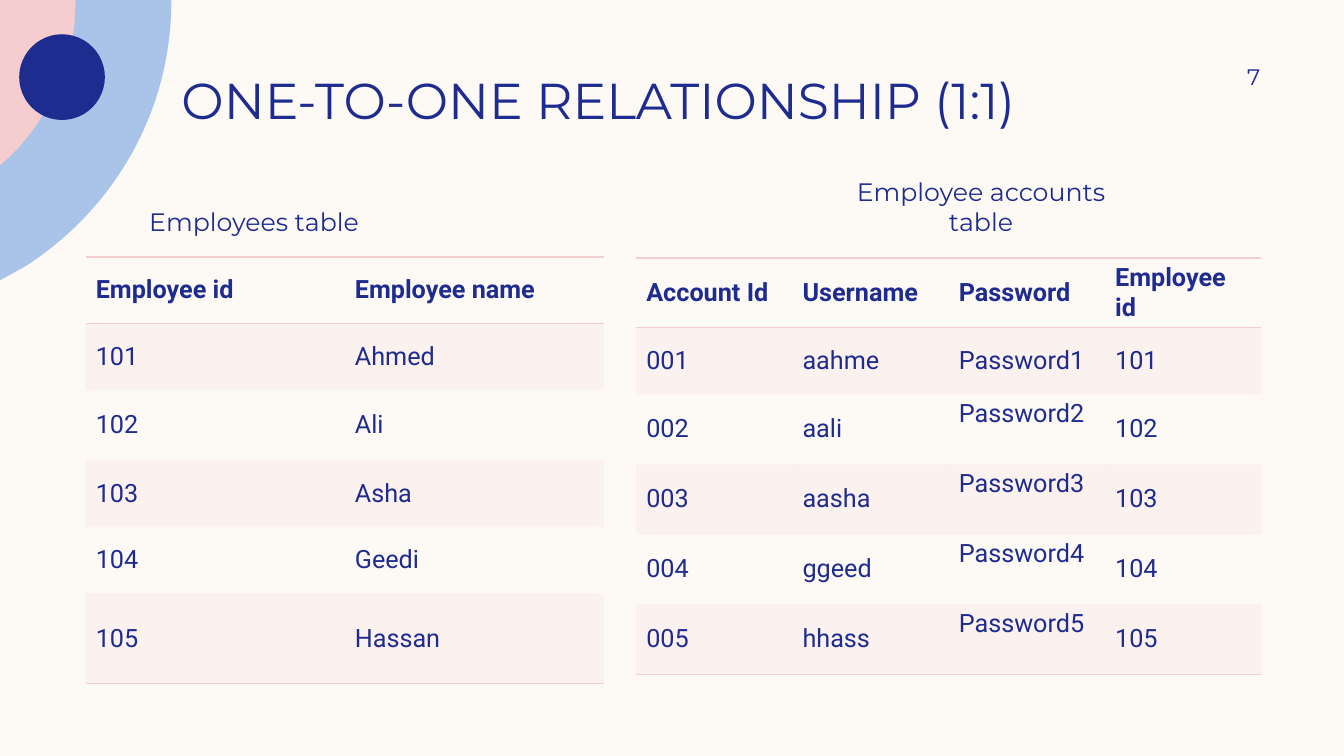
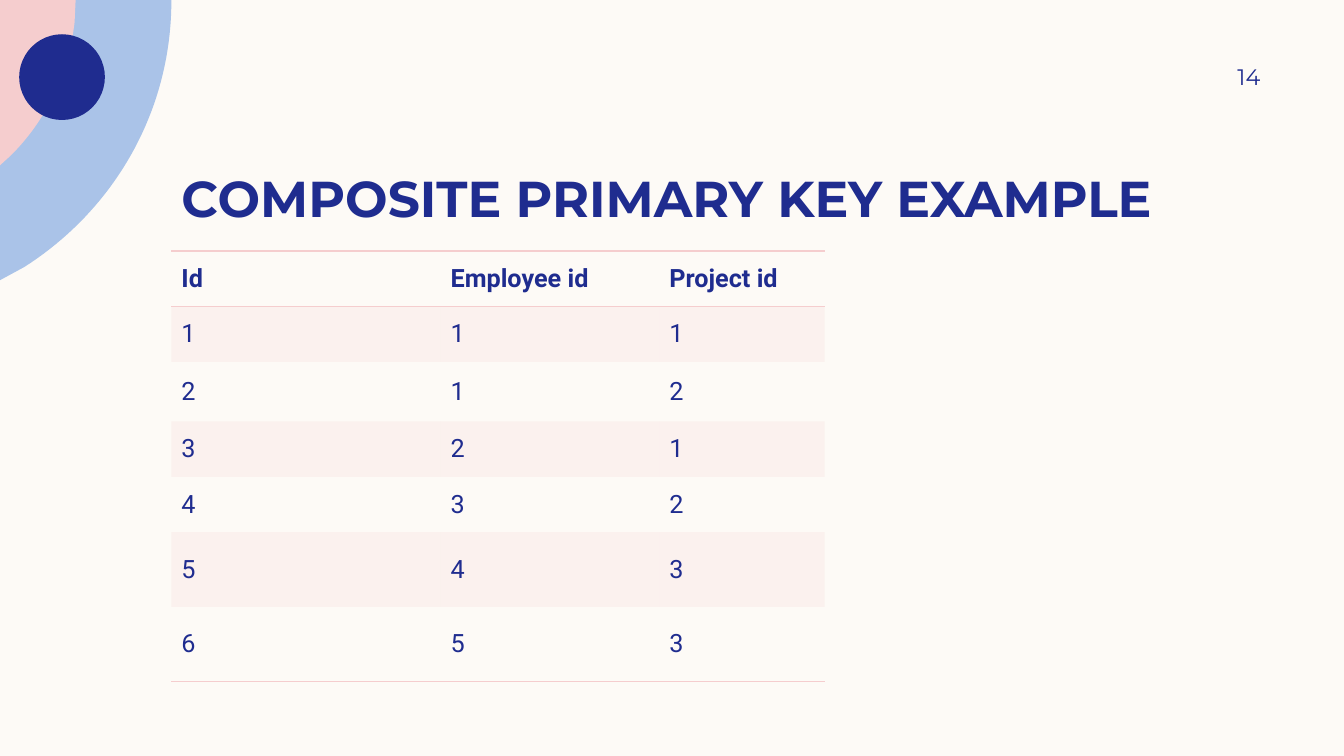
from dataclasses import dataclass

from lxml import etree
from pptx import Presentation
from pptx.dml.color import RGBColor
from pptx.enum.shapes import MSO_SHAPE
from pptx.enum.text import MSO_ANCHOR, MSO_AUTO_SIZE, PP_ALIGN
from pptx.oxml.ns import qn
from pptx.util import Inches, Pt

OVAL = MSO_SHAPE.OVAL
BOTTOM, MIDDLE = MSO_ANCHOR.BOTTOM, MSO_ANCHOR.MIDDLE
LEFT, CENTER, RIGHT = PP_ALIGN.LEFT, PP_ALIGN.CENTER, PP_ALIGN.RIGHT
NO_AUTOFIT = MSO_AUTO_SIZE.NONE
TITLE_ONLY = 5
PLAIN_TABLE_STYLE = "{2D5ABB26-0587-4C30-8999-92F81FD0307C}"


@dataclass(frozen=True)
class Theme:
    cream: str = "FDFAF6"
    blue: str = "AAC3E8"
    pink: str = "F5CDCE"
    navy: str = "1F2C8F"
    heading_font: str = "Montserrat"
    table_font: str = "Roboto"
    title_size: int = 36
    body_size: int = 18
    number_size: int = 16
    band_opacity: int = 20
    rule_width: int = 1


def curve(start, control_a, control_b, end, steps=40):
    """Points along a cubic curve, both ends included."""
    points = []
    for step in range(steps + 1):
        t = step / steps
        weights = ((1 - t) ** 3, 3 * t * (1 - t) ** 2, 3 * t * t * (1 - t), t ** 3)
        corners = (start, control_a, control_b, end)
        points.append(tuple(sum(w * corner[axis] for w, corner in zip(weights, corners))
                            for axis in (0, 1)))
    return points


class Deck:
    def __init__(self, theme):
        self.theme = theme
        self.presentation = Presentation()
        self.presentation.slide_width = Inches(13.33)
        self.presentation.slide_height = Inches(7.5)
        self.layout = self.presentation.slide_layouts[TITLE_ONLY]
        self.slide = None

    # Slides and shared decoration
    def add_slide(self, title, number, title_top, bold=False):
        first = self.slide is None
        self.slide = self.presentation.slides.add_slide(self.layout)
        if first:
            self.decorate_layout()
        self.add_title(title, title_top, bold)
        self.add_text(str(number), (11.33, 0.5, 1.17, 0.52), self.theme.number_size,
                      RIGHT, MIDDLE, (0.1, 0.05, 0, 0.05))

    def decorate_layout(self):
        theme = self.theme
        background = self.layout.background.fill
        background.solid()
        background.fore_color.rgb = RGBColor.from_string(theme.cream)
        outer = curve((1.7, 0.01), (1.7, 1.12), (1.12, 2.09), (0.24, 2.65))
        inner = curve((0.74, 0.22), (0.68, 0.73), (0.46, 1.19), (0.11, 1.54))
        shapes = (
            self.add_outline([(1.7, 0), *outer, (0, 2.78)], theme.blue),
            self.add_outline([(0.75, 0), *inner, (0, 1.64)], theme.pink),
            self.add_dot((0.19, 0.34, 0.85, 0.85), theme.navy),
        )
        for shape in shapes:
            self.layout.shapes.element.append(shape.element)

    # Shapes
    def paint(self, shape, color):
        shape.shadow.inherit = False
        shape.fill.solid()
        shape.fill.fore_color.rgb = RGBColor.from_string(color)
        shape.line.fill.background()
        return shape

    def add_outline(self, points, color):
        # The builder keeps whole units only, so points go in as lengths
        builder = self.slide.shapes.build_freeform(0, 0)
        builder.add_line_segments([(Inches(x), Inches(y)) for x, y in points], close=True)
        return self.paint(builder.convert_to_shape(), color)

    def add_dot(self, box, color):
        dot = self.slide.shapes.add_shape(OVAL, *map(Inches, box))
        return self.paint(dot, color)

    # Text
    def format_font(self, paragraph, name, size, bold=False):
        values = {"name": name, "size": Pt(size), "bold": bold}
        for run in paragraph.runs:
            for attribute, value in values.items():
                setattr(run.font, attribute, value)
            run.font.color.rgb = RGBColor.from_string(self.theme.navy)

    def fill_text(self, shape, text, size, align, anchor, insets, bold=False):
        frame = shape.text_frame
        frame.text = text
        left, top, right, bottom = map(Inches, insets)
        values = {"word_wrap": True, "auto_size": NO_AUTOFIT, "vertical_anchor": anchor,
                  "margin_left": left, "margin_top": top,
                  "margin_right": right, "margin_bottom": bottom}
        for attribute, value in values.items():
            setattr(frame, attribute, value)
        paragraph = frame.paragraphs[0]
        paragraph.alignment = align
        self.format_font(paragraph, self.theme.heading_font, size, bold)

    def add_title(self, text, top, bold):
        title = self.slide.shapes.title
        values = {"left": 1.7, "top": top, "width": 10.8, "height": 1.07}
        for attribute, value in values.items():
            setattr(title, attribute, Inches(value))
        self.fill_text(title, text, self.theme.title_size, LEFT, BOTTOM,
                       (0.1, 0, 0.1, 0), bold)

    def add_text(self, text, box, size, align, anchor, insets):
        text_box = self.slide.shapes.add_textbox(*map(Inches, box))
        self.fill_text(text_box, text, size, align, anchor, insets)

    def add_caption(self, text, left):
        self.add_text(text, (left, 1.65, 3.04, 0.7), self.theme.body_size,
                      CENTER, BOTTOM, (0.1, 0, 0.1, 0))

    # Tables
    def add_table(self, left, top, widths, heights, rows, raised_column=None):
        frame = self.slide.shapes.add_table(
            len(rows), len(widths), Inches(left), Inches(top),
            Inches(sum(widths)), Inches(sum(heights)))
        frame.element.find(".//" + qn("a:tableStyleId")).text = PLAIN_TABLE_STYLE
        table = frame.table
        table.horz_banding = False
        for column, width in zip(table.columns, widths):
            column.width = Inches(width)
        for row, height in zip(table.rows, heights):
            row.height = Inches(height)
        for r, values in enumerate(rows):
            for c, value in enumerate(values):
                cell = table.cell(r, c)
                cell.text = value
                cell.vertical_anchor = MIDDLE
                self.format_font(cell.text_frame.paragraphs[0], self.theme.table_font,
                                 self.theme.body_size, bold=r == 0)
                self.fill_cell(cell, banded=r % 2 == 1)
                if r in (0, len(rows) - 1):
                    self.add_rule(cell, "a:lnB")
                if r == 0:
                    self.add_rule(cell, "a:lnT")
                if c == raised_column and r > 1:
                    cell.margin_bottom = Inches(0.35)

    def fill_cell(self, cell, banded):
        if not banded:
            cell.fill.background()
            return
        cell.fill.solid()
        cell.fill.fore_color.rgb = RGBColor.from_string(self.theme.pink)
        color = cell._tc.tcPr.find(".//" + qn("a:srgbClr"))
        etree.SubElement(color, qn("a:alpha"), val=str(self.theme.band_opacity * 1000))

    def add_rule(self, cell, side):
        line = etree.Element(qn(side), w=str(Pt(self.theme.rule_width)))
        fill = etree.SubElement(line, qn("a:solidFill"))
        etree.SubElement(fill, qn("a:srgbClr"), val=self.theme.pink)
        cell._tc.tcPr.insert(0, line)


def main():
    deck = Deck(Theme())

    # One-to-one relationship
    deck.add_slide("ONE-TO-ONE RELATIONSHIP (1:1)", 7, title_top=0.22)
    deck.add_table(0.85, 2.55, [2.57] * 2, [0.66, 0.66, 0.7, 0.66, 0.66, 0.89], [
        ("Employee id", "Employee name"),
        ("101", "Ahmed"),
        ("102", "Ali"),
        ("103", "Asha"),
        ("104", "Geedi"),
        ("105", "Hassan"),
    ])
    deck.add_table(6.31, 2.56, [1.55] * 4, [0.66, 0.66, 0.7, 0.66, 0.66, 0.66], [
        ("Account Id", "Username", "Password", "Employee id"),
        ("001", "aahme", "Password1", "101"),
        ("002", "aali", "Password2", "102"),
        ("003", "aasha", "Password3", "103"),
        ("004", "ggeed", "Password4", "104"),
        ("005", "hhass", "Password5", "105"),
    ], raised_column=2)
    deck.add_caption("Employees table", 1)
    deck.add_caption("Employee accounts table", 8.21)

    # Composite primary key
    deck.add_slide("COMPOSITE PRIMARY KEY EXAMPLE", 14, title_top=1.19, bold=True)
    deck.add_table(1.7, 2.49, [2.67, 2.17, 1.64],
                   [0.55, 0.55, 0.59, 0.55, 0.55, 0.74, 0.74], [
        ("Id", "Employee id", "Project id"),
        ("1", "1", "1"),
        ("2", "1", "2"),
        ("3", "2", "1"),
        ("4", "3", "2"),
        ("5", "4", "3"),
        ("6", "5", "3"),
    ])

    deck.presentation.save("out.pptx")


if __name__ == "__main__":
    main()
